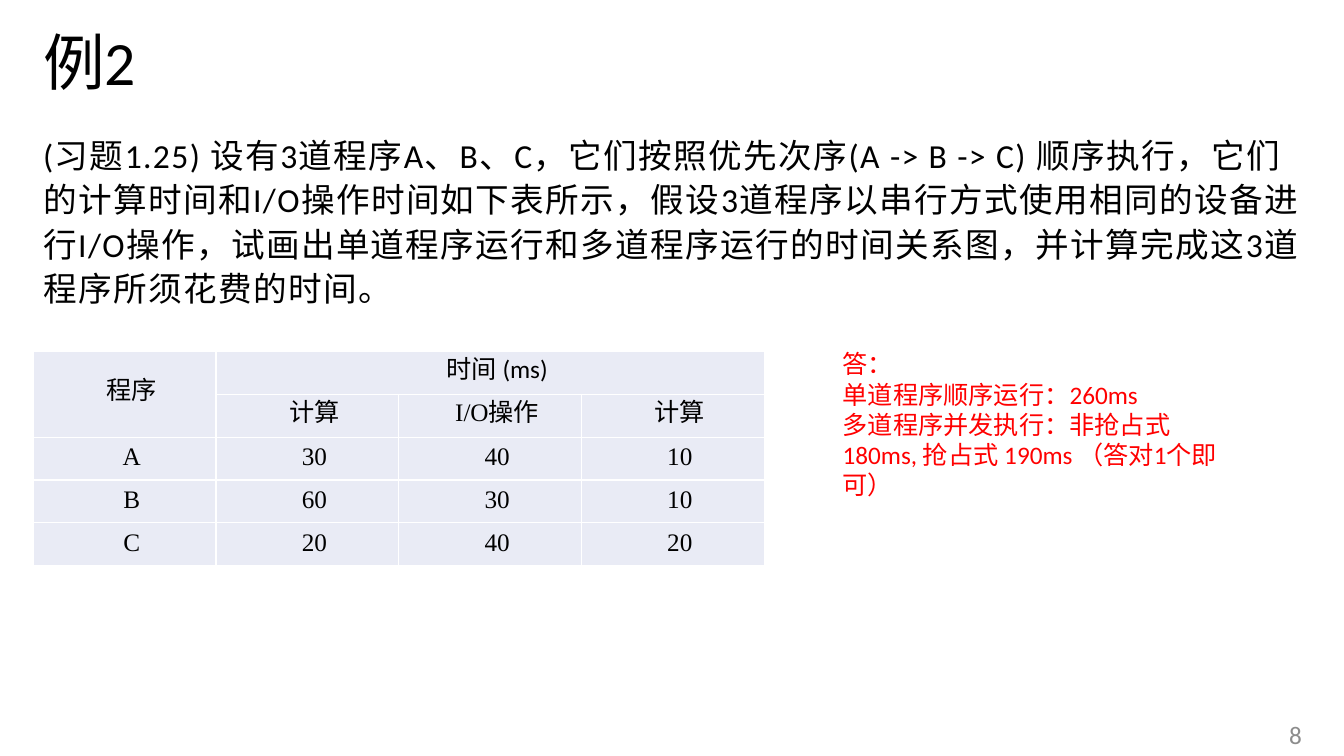
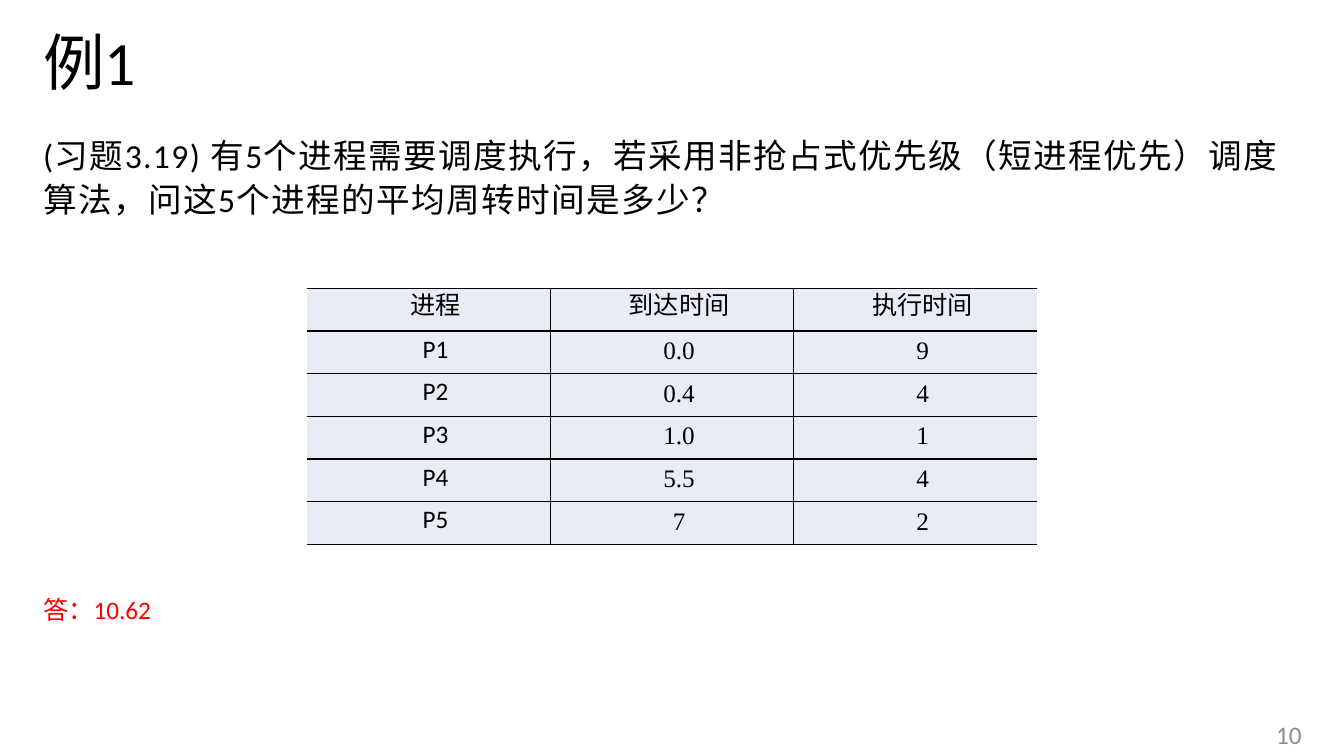
from lxml.etree import SubElement
from pptx import Presentation
from pptx.dml.color import RGBColor
from pptx.enum.text import MSO_ANCHOR, MSO_AUTO_SIZE, PP_ALIGN
from pptx.oxml.ns import qn
from pptx.util import Inches, Pt

BLACK = RGBColor(0x00, 0x00, 0x00)
WHITE = RGBColor(0xFF, 0xFF, 0xFF)
RED = RGBColor(0xFF, 0x00, 0x00)
GRAY = RGBColor(0x8C, 0x8C, 0x8C)
CELL_FILL = RGBColor(0xE9, 0xEB, 0xF5)

SANS, SERIF, CJK = "Calibri", "Times New Roman", "Noto Sans CJK SC"
MARGIN, CONTENT_WIDTH = 0.33, 12.68


class Deck:
    """Holds the shared style and the slide being built."""

    def __init__(self):
        self.prs = Presentation()
        self.prs.slide_width, self.prs.slide_height = Inches(13.33), Inches(7.5)
        self.slide = None

    def new_slide(self, title, question, number):
        self.slide = self.prs.slides.add_slide(self.prs.slide_layouts[6])
        self.title(title)
        self.question(question)
        self.page_number(number)

    def run(self, paragraph, text, size, color, font=SANS, spacing=None):
        run = paragraph.add_run()
        run.text = text
        run.font.size, run.font.name = Pt(size), font
        run.font.color.rgb = color
        props = run.font._element
        SubElement(props, qn("a:ea")).set("typeface", CJK)
        if spacing:
            props.set("spc", str(spacing * 100))

    def text(self, box, paragraphs, size, color, anchor=MSO_ANCHOR.TOP,
             align=PP_ALIGN.LEFT, line=1.0, before=0, spacing=None):
        frame = self.slide.shapes.add_textbox(*map(Inches, box)).text_frame
        frame.word_wrap = True
        frame.vertical_anchor = anchor
        for i, runs in enumerate(paragraphs):
            paragraph = frame.add_paragraph() if i else frame.paragraphs[0]
            paragraph.alignment = align
            paragraph.line_spacing = line
            paragraph.space_before = Pt(before)
            for words, font in runs:
                self.run(paragraph, words, size, color, font, spacing)
        return frame

    def title(self, words):
        self.text((MARGIN, 0.12, CONTENT_WIDTH, 1.06), [[(words, SANS)]], 44, BLACK,
                  anchor=MSO_ANCHOR.MIDDLE, line=0.9)

    def question(self, words):
        self.text((MARGIN, 1.25, CONTENT_WIDTH, 4.4), [[(words, SANS)]], 24, BLACK,
                  line=1.1, before=10, spacing=1)

    def page_number(self, number):
        self.text((10.01, 7.09, 3, 0.4), [[(str(number), SANS)]], 18, GRAY,
                  anchor=MSO_ANCHOR.MIDDLE, align=PP_ALIGN.RIGHT)

    def answer(self, box, paragraphs):
        frame = self.text(box, paragraphs, 18, RED)
        frame.auto_size = MSO_AUTO_SIZE.SHAPE_TO_FIT_TEXT

    def table(self, box, rows, border, sans_cells, merges=(), open_sides=False):
        """Draw a table; sans_cells lists the texts set in the sans font."""
        last = len(rows[0]) - 1
        table = self.slide.shapes.add_table(
            len(rows), last + 1, *map(Inches, box)).table
        table.first_row = table.horz_banding = False
        for row in table.rows:
            row.height = Inches(box[3] / len(rows))
        for r, texts in enumerate(rows):
            for c, words in enumerate(texts):
                cell = table.cell(r, c)
                self.cell(cell, words, SANS if words in sans_cells else SERIF)
                hidden = {side for side, column in (("L", 0), ("R", last))
                          if open_sides and c == column}
                self.borders(cell, border, hidden)
        for first, end in merges:
            table.cell(*first).merge(table.cell(*end))

    def cell(self, cell, words, font):
        cell.fill.solid()
        cell.fill.fore_color.rgb = CELL_FILL
        cell.vertical_anchor = MSO_ANCHOR.MIDDLE
        cell.margin_left = cell.margin_right = Inches(0.07)
        cell.margin_top = cell.margin_bottom = 0
        paragraph = cell.text_frame.paragraphs[0]
        paragraph.alignment = PP_ALIGN.CENTER
        paragraph.line_spacing = Pt(18)
        props = paragraph._p.get_or_add_pPr()
        props.set("marL", "0")
        props.set("indent", str(Inches(0.14)))
        if words:
            self.run(paragraph, words, 18, BLACK, font)

    def borders(self, cell, color, hidden):
        props = cell._tc.get_or_add_tcPr()
        for position, side in enumerate("LRTB"):
            line = SubElement(props, qn(f"a:ln{side}"), w=str(Pt(1)))
            if side in hidden:
                SubElement(line, qn("a:noFill"))
            else:
                fill = SubElement(line, qn("a:solidFill"))
                SubElement(fill, qn("a:srgbClr"), val=str(color))
            props.insert(position, line)  # lines come before the cell fill


def main():
    deck = Deck()

    # Running three programs: alone and together
    deck.new_slide(
        "例2",
        "(习题1.25) 设有3道程序A、B、C，它们按照优先次序(A -> B -> C) 顺序执行，"
        "它们的计算时间和I/O操作时间如下表所示，假设3道程序以串行方式使用相同的设备"
        "进行I/O操作，试画出单道程序运行和多道程序运行的时间关系图，"
        "并计算完成这3道程序所须花费的时间。",
        8)
    program_times = [
        ("程序", "时间 (ms)", "", ""),
        ("", "计算", "I/O操作", "计算"),
        ("A", "30", "40", "10"),
        ("B", "60", "30", "10"),
        ("C", "20", "40", "20"),
    ]
    deck.table((MARGIN, 3.49, 7.25, 2.12), program_times, WHITE, {"时间 (ms)"},
               merges=[((0, 0), (1, 0)), ((0, 1), (0, 3))])
    deck.answer((8.26, 3.41, 4.07, 1.92), [
        [("答：", SANS)],
        [("单道程序顺序运行：260ms", SANS)],
        [("多道程序并发执行：非抢占式180ms, 抢占式 190ms （答对1个即可）", SANS)],
    ])

    # Scheduling five processes
    deck.new_slide(
        "例1",
        "(习题3.19) 有5个进程需要调度执行，若采用非抢占式优先级（短进程优先）"
        "调度算法，问这5个进程的平均周转时间是多少？",
        10)
    process_times = [
        ("进程", "到达时间", "执行时间"),
        ("P1", "0.0", "9"),
        ("P2", "0.4", "4"),
        ("P3", "1.0", "1"),
        ("P4", "5.5", "4"),
        ("P5", "7", "2"),
    ]
    process_names = {row[0] for row in process_times[1:]}
    deck.table((3.04, 2.86, 7.25, 2.54), process_times, BLACK,
               process_names | {"到达时间", "执行时间"}, open_sides=True)
    deck.answer((MARGIN, 5.85, 3.55, 0.4), [[("答：", CJK), ("10.62", SANS)]])

    deck.prs.save("out.pptx")


if __name__ == "__main__":
    main()
